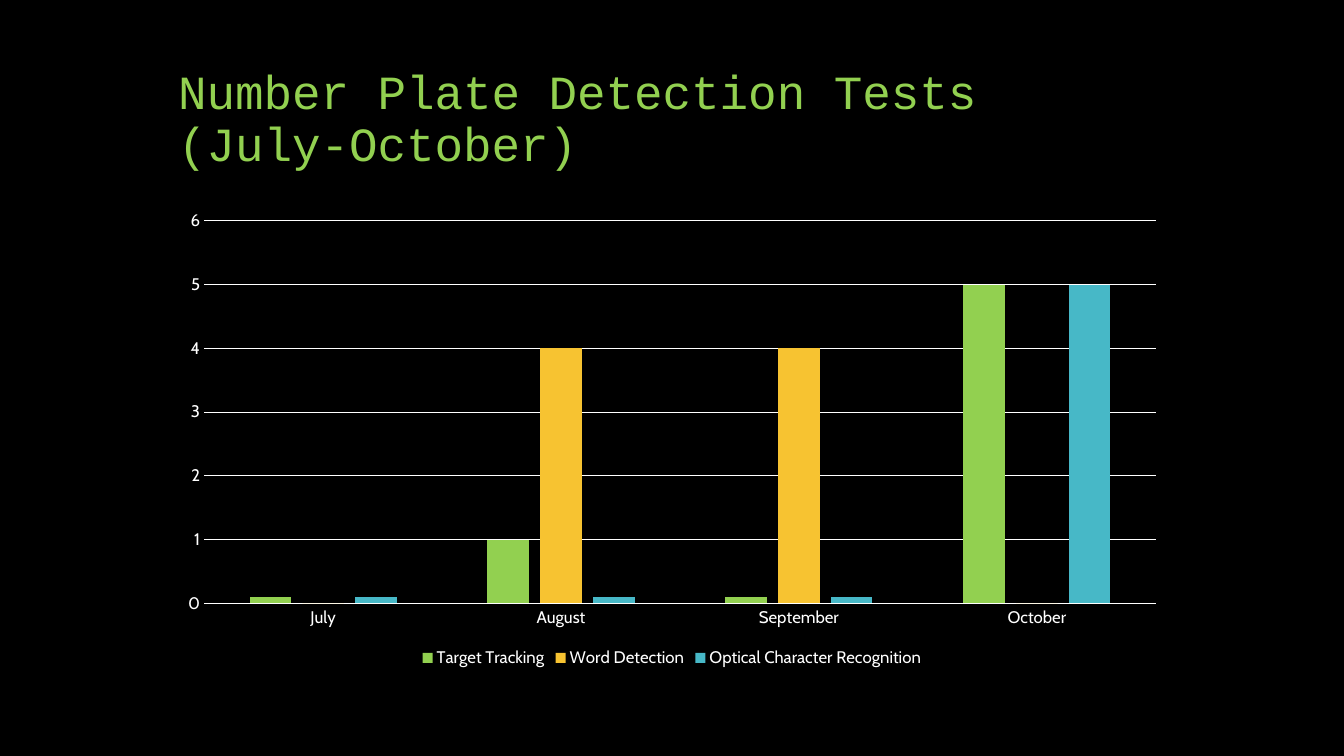
from pptx import Presentation
from pptx.chart.data import CategoryChartData
from pptx.dml.color import RGBColor
from pptx.enum.chart import XL_CHART_TYPE as ChartType
from pptx.enum.chart import XL_LEGEND_POSITION as LegendPosition
from pptx.enum.chart import XL_TICK_MARK as TickMark
from pptx.enum.text import MSO_ANCHOR as Anchor
from pptx.enum.text import MSO_AUTO_SIZE as AutoSize
from pptx.enum.text import PP_ALIGN as Align
from pptx.util import Inches, Pt

BLACK, WHITE = "000000", "FFFFFF"
GREEN, YELLOW, TEAL = "92D050", "F7C331", "47B8C7"


def color(value):
    return RGBColor.from_string(value)


class SlideBuilder:
    columns, rows = 8, 90
    title_font, chart_font = "Courier New", "Cabin"

    def __init__(self, presentation):
        self.column = presentation.slide_width / self.columns
        self.row = presentation.slide_height / self.rows
        self.slide = presentation.slides.add_slide(presentation.slide_layouts[5])
        fill = self.slide.background.fill
        fill.solid()
        fill.fore_color.rgb = color(BLACK)

    def area(self, column, row, width, height):
        return (round(column * self.column), round(row * self.row),
                round(width * self.column), round(height * self.row))

    def style_font(self, font, name, size, value):
        font.name, font.size = name, Pt(size)
        font.color.rgb = color(value)

    def style_line(self, line):
        line.color.rgb = color(WHITE)
        line.width = Pt(0.75)

    def title(self, text, *cells):
        title = self.slide.shapes.title
        title.left, title.top, title.width, title.height = self.area(*cells)
        frame = title.text_frame
        frame.text = text
        frame.word_wrap = True
        frame.auto_size = AutoSize.NONE
        frame.vertical_anchor = Anchor.BOTTOM
        paragraph = frame.paragraphs[0]
        paragraph.alignment = Align.LEFT
        paragraph.line_spacing = 0.9
        self.style_font(paragraph.font, self.title_font, 34, GREEN)

    def column_chart(self, categories, series, *cells):
        data = CategoryChartData()
        data.categories = categories
        for name, values, _ in series:
            data.add_series(name, values)
        chart = self.slide.shapes.add_chart(
            ChartType.COLUMN_CLUSTERED, *self.area(*cells), data).chart
        chart.has_title = False
        self.style_font(chart.font, self.chart_font, 10, WHITE)

        plot = chart.plots[0]
        plot.gap_width, plot.overlap = 219, -27
        plot.vary_by_categories = False
        for bars, (_, _, value) in zip(plot.series, series):
            bars.format.fill.solid()
            bars.format.fill.fore_color.rgb = color(value)

        for axis in (chart.category_axis, chart.value_axis):
            axis.major_tick_mark = axis.minor_tick_mark = TickMark.NONE
            self.style_font(axis.tick_labels.font, self.chart_font, 12, WHITE)
        self.style_line(chart.category_axis.format.line)
        value_axis = chart.value_axis
        value_axis.format.line.fill.background()
        value_axis.minimum_scale, value_axis.maximum_scale = 0, 6
        value_axis.major_unit = 1
        self.style_line(value_axis.major_gridlines.format.line)

        chart.has_legend = True
        chart.legend.position = LegendPosition.BOTTOM
        chart.legend.include_in_layout = False
        self.style_font(chart.legend.font, self.chart_font, 12, WHITE)


def main():
    presentation = Presentation()
    presentation.slide_width = Inches(13.33)
    presentation.slide_height = Inches(7.5)
    builder = SlideBuilder(presentation)
    builder.title("Number Plate Detection Tests \v(July-October)", 1, 6, 6, 15)
    builder.column_chart(
        ["July", "August", "September", "October"],
        [("Target Tracking", (0.1, 1, 0.1, 5), GREEN),
         ("Word Detection", (0, 4, 4, 0), YELLOW),
         ("Optical Character Recognition", (0.1, 0.1, 0.1, 5), TEAL)],
        1, 24, 6, 56)
    presentation.save("out.pptx")


if __name__ == "__main__":
    main()
